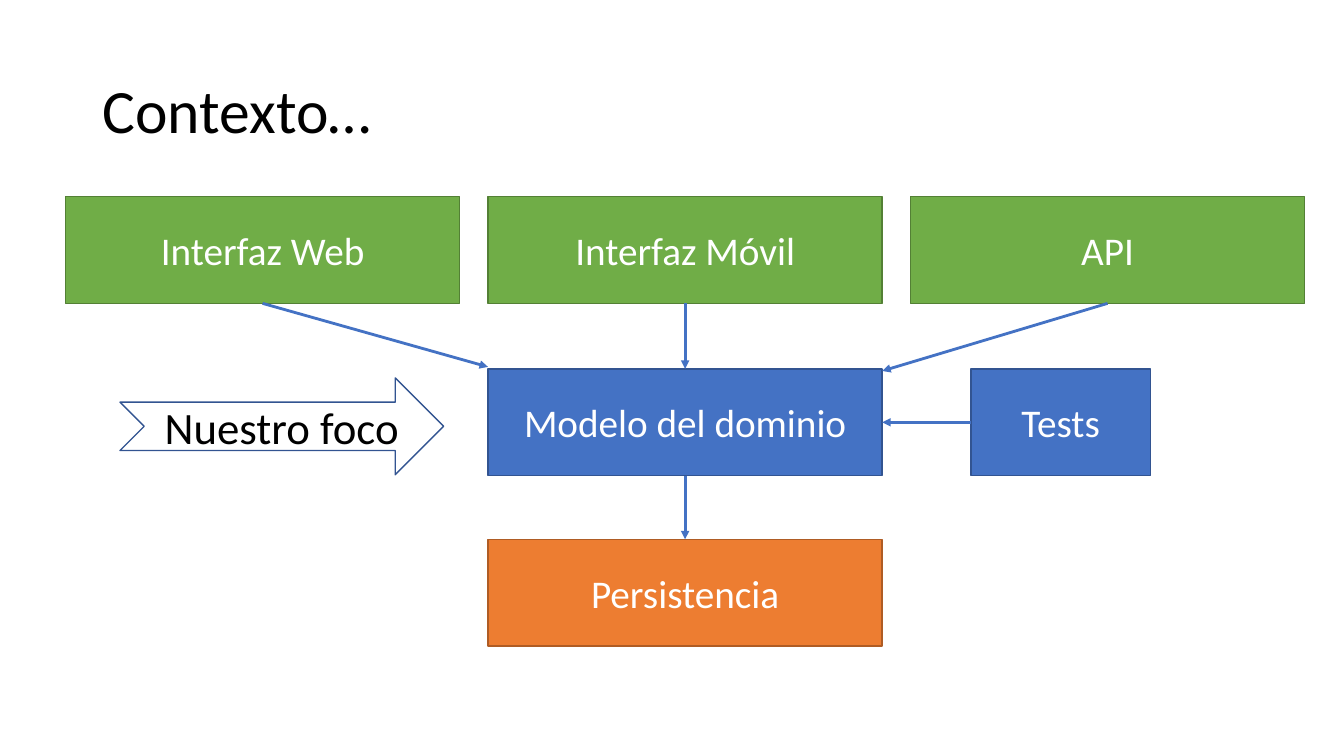
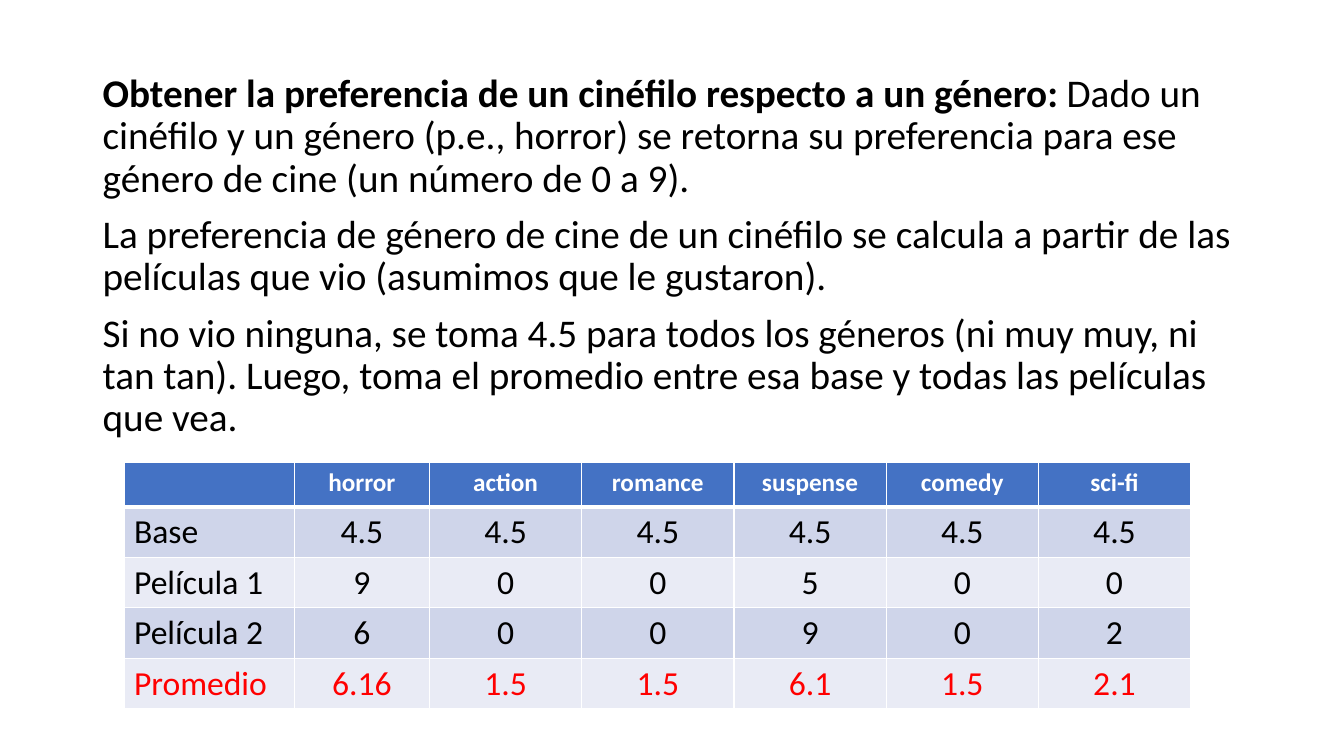
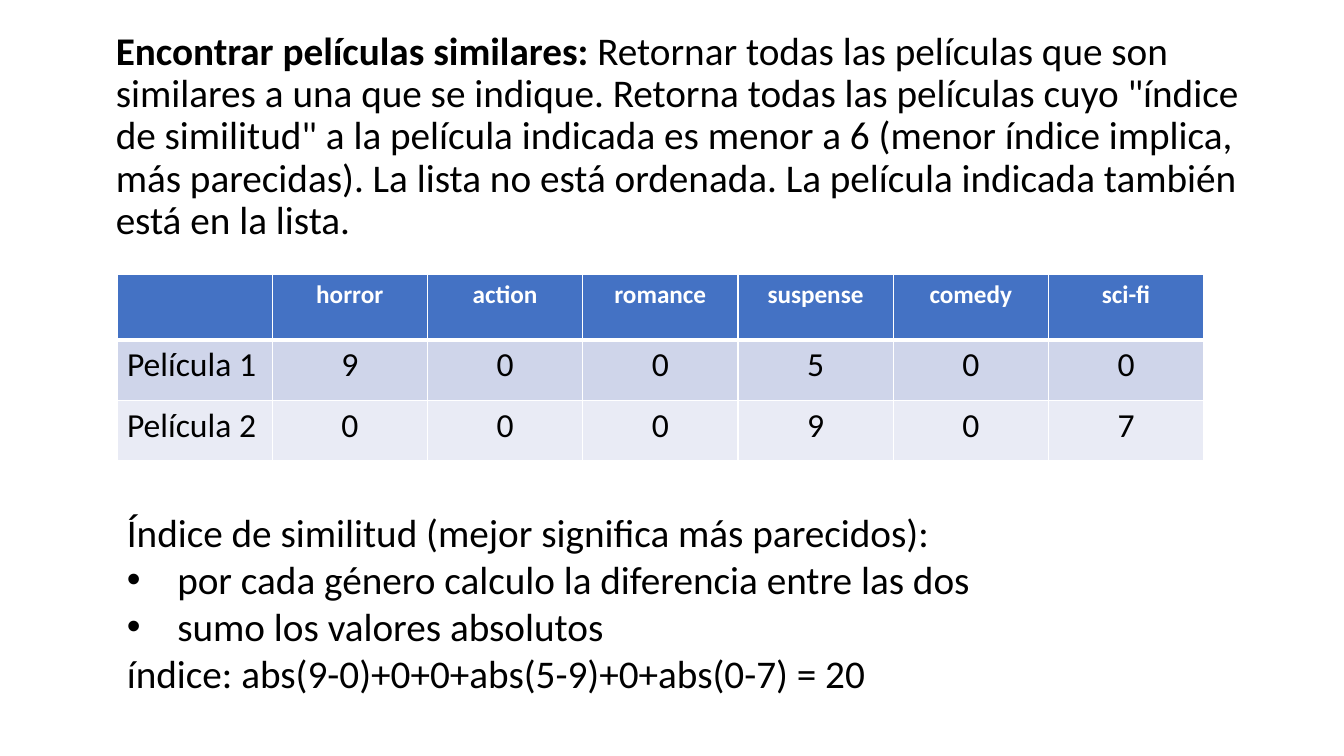
from lxml import etree
from pptx import Presentation
from pptx.dml.color import RGBColor
from pptx.enum.shapes import MSO_CONNECTOR, MSO_SHAPE
from pptx.enum.text import MSO_ANCHOR, PP_ALIGN
from pptx.oxml.ns import qn
from pptx.util import Inches, Pt

RECT = MSO_SHAPE.RECTANGLE
NOTCHED_ARROW = MSO_SHAPE.NOTCHED_RIGHT_ARROW
STRAIGHT = MSO_CONNECTOR.STRAIGHT
CENTER, LEFT = PP_ALIGN.CENTER, PP_ALIGN.LEFT
TOP, MIDDLE = MSO_ANCHOR.TOP, MSO_ANCHOR.MIDDLE

FONT = "Calibri"
BLACK = RGBColor(0x00, 0x00, 0x00)
WHITE = RGBColor(0xFF, 0xFF, 0xFF)
RED = RGBColor(0xFF, 0x00, 0x00)
BLUE = RGBColor(0x44, 0x72, 0xC4)
DARK_BLUE = RGBColor(0x32, 0x54, 0x91)
GREEN = RGBColor(0x70, 0xAD, 0x47)
DARK_GREEN = RGBColor(0x53, 0x80, 0x35)
ORANGE = RGBColor(0xED, 0x7D, 0x31)
DARK_ORANGE = RGBColor(0xAF, 0x5C, 0x24)
BANDS = (RGBColor(0xCF, 0xD5, 0xEA), RGBColor(0xE9, 0xEB, 0xF5))

# Connection sites of a rectangle
SITE_TOP, SITE_LEFT, SITE_BOTTOM, SITE_RIGHT = range(4)

BODY_SIZE = 28
BOX_W, BOX_H = 3.91, 1.06
COLUMN_LEFTS = [0.65 + 4.19 * i for i in range(3)]
INTERFACE_Y, MODEL_Y, STORAGE_Y = 1.95, 3.66, 5.35
GENRES = ["", "horror", "action", "romance", "suspense", "comedy", "sci-fi"]


def format_run(r, size, color=BLACK, bold=False):
    r.font.name = FONT
    r.font.size = Pt(size)
    r.font.bold = bold
    r.font.color.rgb = color


def set_text(tf, text, size, color, align):
    tf.text = text
    p = tf.paragraphs[0]
    p.alignment = align
    for r in p.runs:
        format_run(r, size, color)


def add_paragraphs(s, x, y, w, h, paragraphs, size=BODY_SIZE, anchor=TOP,
                   line_spacing=0.9, space_before=10):
    """Each paragraph is a list of (text, bold) runs."""
    tf = s.shapes.add_textbox(Inches(x), Inches(y), Inches(w), Inches(h)).text_frame
    tf.word_wrap = True
    tf.vertical_anchor = anchor
    for i, runs in enumerate(paragraphs):
        p = tf.paragraphs[0] if i == 0 else tf.add_paragraph()
        p.line_spacing = line_spacing
        p.space_before = Pt(space_before)
        for text, bold in runs:
            r = p.add_run()
            r.text = text
            format_run(r, size, bold=bold)
    return tf


def add_bullet(p):
    pPr = p._p.get_or_add_pPr()
    pPr.set("marL", str(Inches(0.5)))
    pPr.set("indent", str(-Inches(0.5)))
    etree.SubElement(pPr, qn("a:buFont")).set("typeface", "Arial")
    etree.SubElement(pPr, qn("a:buChar")).set("char", "•")


def add_box(s, x, y, text, fill, line, w=BOX_W, h=BOX_H, shape=RECT,
            size=BODY_SIZE, color=WHITE):
    sp = s.shapes.add_shape(shape, Inches(x), Inches(y), Inches(w), Inches(h))
    sp.shadow.inherit = False
    sp.fill.solid()
    sp.fill.fore_color.rgb = fill
    sp.line.color.rgb = line
    sp.line.width = Pt(1)
    sp.text_frame.vertical_anchor = MIDDLE
    set_text(sp.text_frame, text, size, color, CENTER)
    return sp


def add_arrow(s, source, source_site, target, target_site=None, end=(0, 0)):
    """Arrow glued to its source, and to the target unless only an end point is given."""
    cxn = s.shapes.add_connector(STRAIGHT, source.left, source.top,
                                 Inches(end[0]), Inches(end[1]))
    cxn.begin_connect(source, source_site)
    if target is not None:
        cxn.end_connect(target, target_site)
    cxn.line.color.rgb = BLUE
    cxn.line.width = Pt(2)
    etree.SubElement(cxn.line._get_or_add_ln(), qn("a:tailEnd")).set("type", "triangle")
    etree.SubElement(cxn._element.spPr, qn("a:effectLst"))


def set_borders(cell, bottom, top):
    tcPr = cell._tc.get_or_add_tcPr()
    for side, width in (("L", 1), ("R", 1), ("T", top), ("B", bottom)):
        ln = etree.SubElement(tcPr, qn(f"a:ln{side}"), w=str(Pt(width)))
        fill = etree.SubElement(ln, qn("a:solidFill"))
        etree.SubElement(fill, qn("a:srgbClr")).set("val", str(WHITE))


def add_genre_table(s, x, y, col_widths, header_h, row_h, rows, last_color=BLACK):
    """Table with one column per genre; last_color is the text colour of the last row."""
    table = s.shapes.add_table(
        len(rows) + 1, len(GENRES), Inches(x), Inches(y), Inches(sum(col_widths)),
        Inches(header_h + row_h * len(rows))).table
    for column, width in zip(table.columns, col_widths):
        column.width = Inches(width)
    for i, values in enumerate([GENRES] + rows):
        header = i == 0
        table.rows[i].height = Inches(header_h if header else row_h)
        size = 18 if header else 24
        color = WHITE if header else last_color if i == len(rows) else BLACK
        for j, value in enumerate(values):
            cell = table.cell(i, j)
            set_borders(cell, bottom=3 if header else 1, top=3 if i == 1 else 1)
            cell.fill.solid()
            cell.fill.fore_color.rgb = BLUE if header else BANDS[(i - 1) % 2]
            set_text(cell.text_frame, value, size, color, CENTER if j else LEFT)
            for r in cell.text_frame.paragraphs[0].runs:
                r.font.bold = header


def build_context(s):
    add_paragraphs(s, 0.92, 0.4, 11.5, 1.45, [[("Contexto…", False)]], size=44,
                   anchor=MIDDLE, space_before=0)
    center_x = COLUMN_LEFTS[1]
    model = add_box(s, center_x, MODEL_Y, "Modelo del dominio", BLUE, DARK_BLUE)
    web, mobile, api = [
        add_box(s, x, INTERFACE_Y, text, GREEN, DARK_GREEN)
        for x, text in zip(COLUMN_LEFTS, ("Interfaz Web", "Interfaz Móvil", "API"))]
    storage = add_box(s, center_x, STORAGE_Y, "Persistencia", ORANGE, DARK_ORANGE)
    tests = add_box(s, 9.63, MODEL_Y, "Tests", BLUE, DARK_BLUE, w=1.78)
    add_box(s, 1.19, 3.75, "Nuestro foco", WHITE, DARK_BLUE, w=3.21, h=0.96,
            shape=NOTCHED_ARROW, size=32, color=BLACK)

    add_arrow(s, web, SITE_BOTTOM, None, end=(center_x, MODEL_Y - 0.02))
    add_arrow(s, mobile, SITE_BOTTOM, model, SITE_TOP)
    add_arrow(s, api, SITE_BOTTOM, None, end=(center_x + BOX_W, MODEL_Y + 0.02))
    add_arrow(s, model, SITE_BOTTOM, storage, SITE_TOP)
    add_arrow(s, tests, SITE_LEFT, model, SITE_RIGHT)


def build_preference(s):
    add_paragraphs(s, 0.92, 0.68, 11.5, 6.07, [
        [("Obtener la preferencia de un cinéfilo respecto a un género:", True),
         (" Dado un cinéfilo y un género (p.e., horror) se retorna su preferencia "
          "para ese género de cine (un número de 0 a 9).", False)],
        [("La preferencia de género de cine de un cinéfilo se calcula a partir de las "
          "películas que vio (asumimos que le gustaron).", False)],
        [("Si no vio ninguna, se toma 4.5 para todos los géneros (ni muy muy, ni tan "
          "tan). Luego, toma el promedio entre esa base y todas las películas que vea.",
          False)],
    ])
    add_genre_table(s, 1.23, 4.59, [1.69, 1.34] + [1.51] * 5, 0.44, 0.5, [
        ["Base"] + ["4.5"] * 6,
        ["Película 1", "9", "0", "0", "5", "0", "0"],
        ["Película 2", "6", "0", "0", "9", "0", "2"],
        ["Promedio", "6.16", "1.5", "1.5", "6.1", "1.5", "2.1"],
    ], last_color=RED)


def build_similarity(s):
    add_paragraphs(s, 1.05, 0.26, 11.5, 6.07, [
        [("Encontrar películas similares: ", True),
         ("Retornar todas las películas que son similares a una que se indique. Retorna "
          "todas las películas cuyo \"índice de similitud\" a la película indicada es "
          "menor a 6 (menor índice implica, más parecidas). La lista no está ordenada. "
          "La película indicada también está en la lista.", False)],
    ])
    add_genre_table(s, 1.16, 2.72, [1.54] * 7, 0.65, 0.6, [
        ["Película 1", "9", "0", "0", "5", "0", "0"],
        ["Película 2", "0", "0", "0", "9", "0", "7"],
    ])
    tf = add_paragraphs(s, 1.16, 4.99, 8.75, 2.46, [
        [("Índice de similitud (mejor significa más parecidos):", False)],
        [("por cada género calculo la diferencia entre las dos", False)],
        [("sumo los valores absolutos", False)],
        [("índice: abs(9-0)+0+0+abs(5-9)+0+abs(0-7) = 20", False)],
    ], line_spacing=1.0, space_before=0)
    for p in tf.paragraphs[1:3]:
        add_bullet(p)


def main():
    prs = Presentation()
    prs.slide_width, prs.slide_height = Inches(13.33), Inches(7.5)
    for build in (build_context, build_preference, build_similarity):
        build(prs.slides.add_slide(prs.slide_layouts[6]))
    prs.save("out.pptx")


if __name__ == "__main__":
    main()
